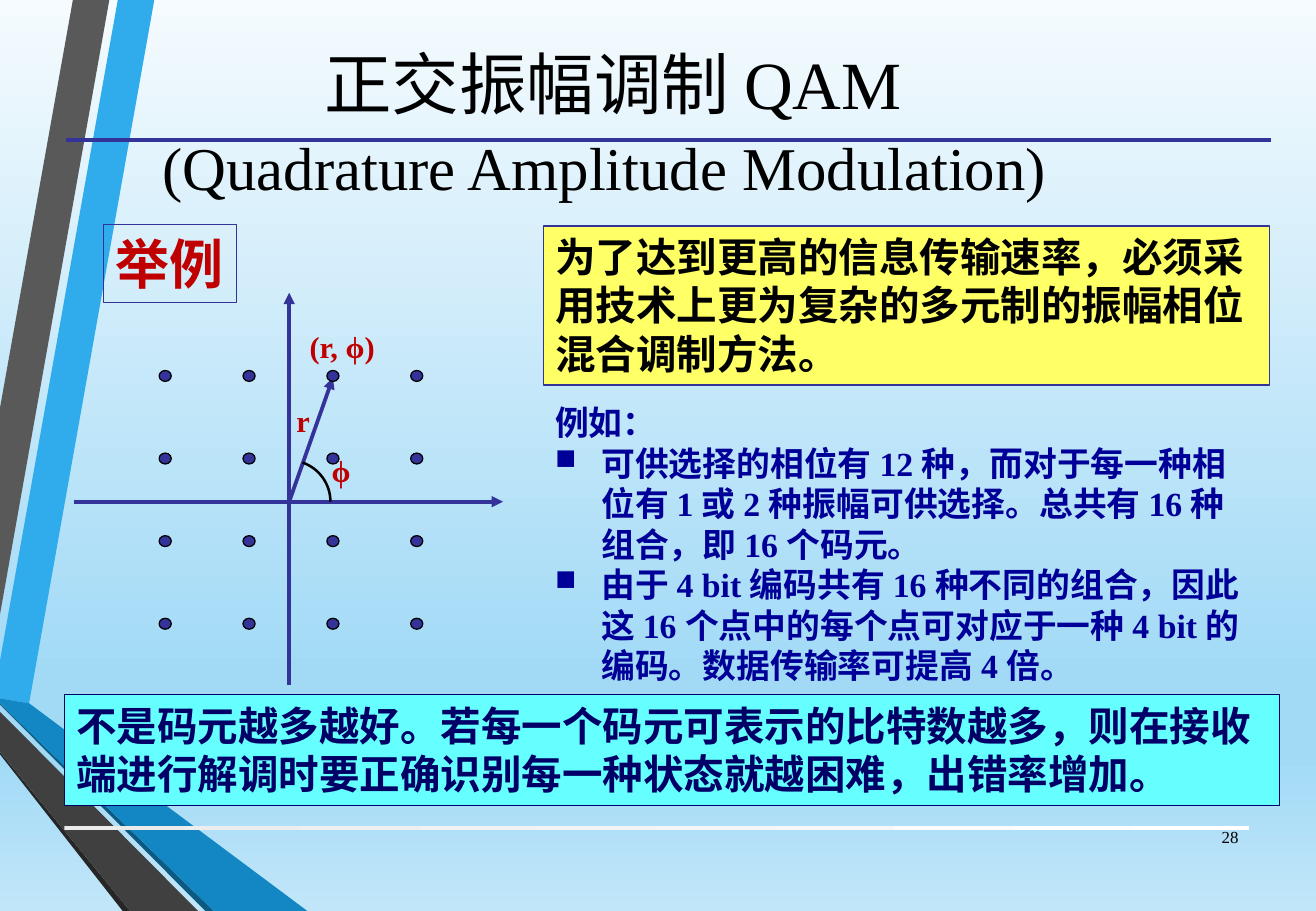
import math

from lxml import etree
from pptx import Presentation
from pptx import util as u
from pptx.dml.color import RGBColor
from pptx.enum import shapes, text
from pptx.oxml.ns import qn

COLORS = {
    "black": "000000", "indigo": "333399", "red": "C00000",
    "navy": "000066", "blue": "000099", "cyan": "66FFFF", "yellow": "FFFF66",
}
FONT = "Times New Roman"


def add_span(para, words, size, color, bold=True):
    span = para.add_run()
    span.text = words
    span.font.name = FONT
    span.font.size = u.Pt(size)
    span.font.bold = bold
    span.font.color.rgb = RGBColor.from_string(COLORS[color])


def set_stops(element, stops):
    """Replace the gradient stops of an element with (percent, hex) pairs."""
    stop_list = element.xpath(".//a:gsLst")[0]
    for old_stop in list(stop_list):
        stop_list.remove(old_stop)
    for percent, color in stops:
        stop = etree.SubElement(stop_list, qn("a:gs"), pos=str(percent * 1000))
        etree.SubElement(stop, qn("a:srgbClr"), val=color)


deck = Presentation()
deck.slide_width, deck.slide_height = u.Inches(10.83), u.Inches(7.5)
page = deck.slides.add_slide(deck.slide_layouts[5])

# Background
backdrop = page.background.fill
backdrop.gradient()
backdrop.gradient_angle = 270
set_stops(page.element, [(0, "F5FBFE"), (74, "A2DAF6"), (83, "A2DAF6"), (100, "C1E6F9")])

# Folded ribbons on the left
ribbons = [
    ("30ACEC", [(0, 5.44), (0, 5.75), (0.24, 5.79), (1.27, 0), (0.97, 0)]),
    ("595959", [(0.9, 0), (0.6, 0), (0, 3.36), (0, 5.06)]),
    ("262626", [(0, 6.19), (0, 6.21), (1.01, 7.5), (1.07, 7.5)]),
    ("0C5A82", [(0, 5.79), (0, 5.8), (1.69, 7.5), (1.76, 7.5)]),
    ("1287C3", [(0, 5.79), (1.76, 7.5), (2.53, 7.5), (0.24, 5.79), (0, 5.75)]),
    ("404040", [(0, 6.19), (1.07, 7.5), (1.63, 7.5), (0, 5.86)]),
]
for color, outline in ribbons:
    points = [(u.Inches(x), u.Inches(y)) for x, y in outline]
    builder = page.shapes.build_freeform(*points[0])
    builder.add_line_segments(points[1:], close=True)
    ribbon = builder.convert_to_shape()
    ribbon.shadow.inherit = False
    ribbon.fill.solid()
    ribbon.fill.fore_color.rgb = RGBColor.from_string(color)
    ribbon.line.fill.background()

# Footer bar
bar = page.shapes.add_shape(shapes.MSO_SHAPE.RECTANGLE, u.Inches(0.53), u.Inches(6.8),
                            u.Inches(9.75), u.Inches(0.03))
bar.shadow.inherit = False
bar.line.fill.background()
bar.fill.gradient()
bar.fill.gradient_angle = 0
set_stops(bar.element, [(0, "EBEBEB"), (100, "FFFFFF")])

# Title
title = page.shapes.title
title.left, title.top = u.Inches(0.1), u.Inches(0.21)
title.width, title.height = u.Inches(9.89), u.Inches(1.61)
title.text_frame.auto_size = text.MSO_AUTO_SIZE.NONE
title.text_frame.vertical_anchor = text.MSO_ANCHOR.MIDDLE
para = title.text_frame.paragraphs[0]
para.alignment = text.PP_ALIGN.CENTER
add_span(para, "正交振幅调制 QAM", 40, "black", bold=False)
para.add_line_break()
add_span(para, "(Quadrature Amplitude Modulation)", 36, "black", bold=False)
add_span(para, " ", 40, "black", bold=False)

# Title rule, axes and vector: start, end, arrow
origin_x, origin_y = 2.38, 4.13
lines = [
    ((0.54, 1.15), (10.46, 1.15), False),
    ((origin_x, 5.64), (origin_x, 2.41), True),
    ((0.61, origin_y), (4.14, origin_y), True),
    ((origin_x, origin_y), (2.74, 3.11), True),
]
for start, end, arrow in lines:
    line = page.shapes.add_connector(shapes.MSO_CONNECTOR.STRAIGHT,
                                     *[u.Inches(value) for value in start + end])
    line.line.color.rgb = RGBColor.from_string(COLORS["indigo"])
    line.line.width = u.Pt(2.25)
    if arrow:
        etree.SubElement(line.line._get_or_add_ln(), qn("a:tailEnd"), type="triangle")
    etree.SubElement(line.element.spPr, qn("a:effectLst"))

# Constellation points
for row in range(4):
    for column in range(4):
        dot = page.shapes.add_shape(
            shapes.MSO_SHAPE.OVAL, u.Inches(1.31 + 0.69 * column),
            u.Inches(3.05 + 0.68 * row), u.Inches(0.1), u.Inches(0.09))
        dot.shadow.inherit = False
        dot.fill.solid()
        dot.fill.fore_color.rgb = RGBColor.from_string(COLORS["indigo"])
        dot.line.color.rgb = RGBColor.from_string(COLORS["black"])
        dot.line.width = u.Pt(0.75)

# Phase angle arc
radius = 0.34
angles = [math.radians(degrees) for degrees in range(71, -1, -1)]
points = [(u.Inches(origin_x + radius * math.cos(angle)),
           u.Inches(origin_y - radius * math.sin(angle))) for angle in angles]
builder = page.shapes.build_freeform(*points[0])
builder.add_line_segments(points[1:], close=False)
arc = builder.convert_to_shape()
arc.shadow.inherit = False
arc.fill.background()
arc.line.color.rgb = RGBColor.from_string(COLORS["black"])
arc.line.width = u.Pt(1.5)

# Plain labels: place, words, size, colour, alignment, anchor
left, right = text.PP_ALIGN.LEFT, text.PP_ALIGN.RIGHT
top, middle = text.MSO_ANCHOR.TOP, text.MSO_ANCHOR.MIDDLE
labels = [
    ((2.34, 3.26, 0.31, 0.4), "r", 18, "red", left, top),
    ((2.63, 3.67, 0.35, 0.4), "ϕ", 18, "red", left, top),
    ((2.45, 2.65, 0.74, 0.4), "(r, ϕ)", 18, "red", left, top),
    ((9.8, 6.69, 0.49, 0.4), "28", 10, "black", right, middle),
]
for place, words, size, color, alignment, anchor in labels:
    label = page.shapes.add_textbox(*[u.Inches(value) for value in place])
    label.text_frame.word_wrap = False
    label.text_frame.vertical_anchor = anchor
    para = label.text_frame.paragraphs[0]
    para.alignment = alignment
    add_span(para, words, size, color, bold=color == "red")

# Framed boxes: place, fill, line, size, font colour, wrap, words
boxes = [
    ((0.53, 5.72, 10, 0.91), "cyan", "navy", 24, "navy", True,
     "不是码元越多越好。若每一个码元可表示的比特数越多，则在接收端进行解调时要正确识别每一种状态就越困难，出错率增加。"),
    ((0.85, 1.85, 1.1, 0.64), None, "indigo", 32, "red", False, "举例"),
    ((4.47, 1.86, 5.98, 1.31), "yellow", "indigo", 24, "black", True,
     "为了达到更高的信息传输速率，必须采用技术上更为复杂的多元制的振幅相位混合调制方法。"),
]
for place, fill, outline, size, color, wrap, words in boxes:
    box = page.shapes.add_shape(shapes.MSO_SHAPE.RECTANGLE,
                                *[u.Inches(value) for value in place])
    box.shadow.inherit = False
    if fill:
        box.fill.solid()
        box.fill.fore_color.rgb = RGBColor.from_string(COLORS[fill])
    else:
        box.fill.background()
    box.line.color.rgb = RGBColor.from_string(COLORS[outline])
    box.line.width = u.Pt(0.75)
    box.text_frame.word_wrap = wrap
    box.text_frame.vertical_anchor = top
    para = box.text_frame.paragraphs[0]
    para.alignment = left
    add_span(para, words, size, color)

# Worked example
example = page.shapes.add_textbox(u.Inches(4.47), u.Inches(3.26), u.Inches(5.98), u.Inches(2.46))
example.text_frame.word_wrap = True
add_span(example.text_frame.paragraphs[0], "例如：", 20, "blue")
for words in [
    "可供选择的相位有 12 种，而对于每一种相位有 1 或 2 种振幅可供选择。总共有 16 种组合，即 16 个码元。",
    "由于 4 bit 编码共有 16 种不同的组合，因此这 16 个点中的每个点可对应于一种 4 bit 的编码。数据传输率可提高 4 倍。",
]:
    para = example.text_frame.add_paragraph()
    properties = para._p.get_or_add_pPr()
    properties.set("marL", str(u.Inches(0.38)))
    properties.set("indent", str(u.Inches(-0.38)))
    etree.SubElement(properties, qn("a:buSzPct"), val="85000")
    etree.SubElement(properties, qn("a:buChar"), char="■")
    add_span(para, words, 20, "blue")

deck.save("out.pptx")
